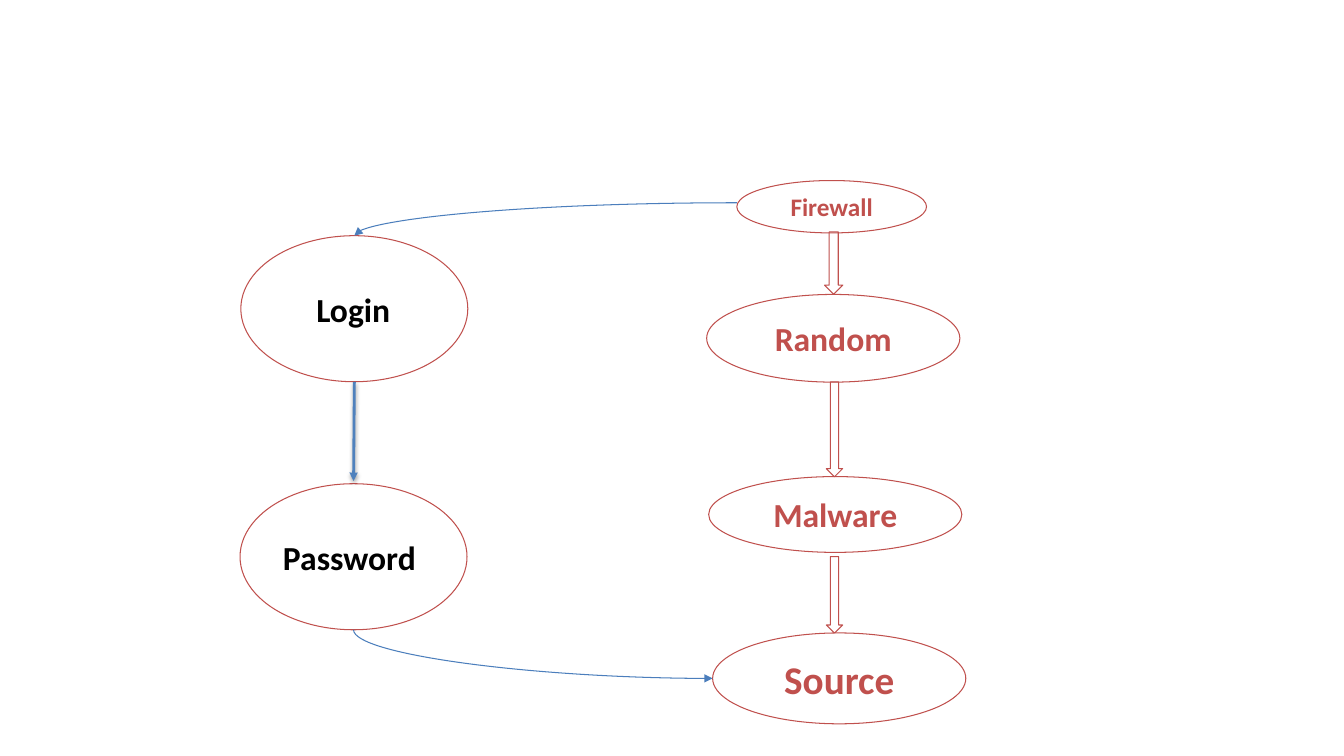
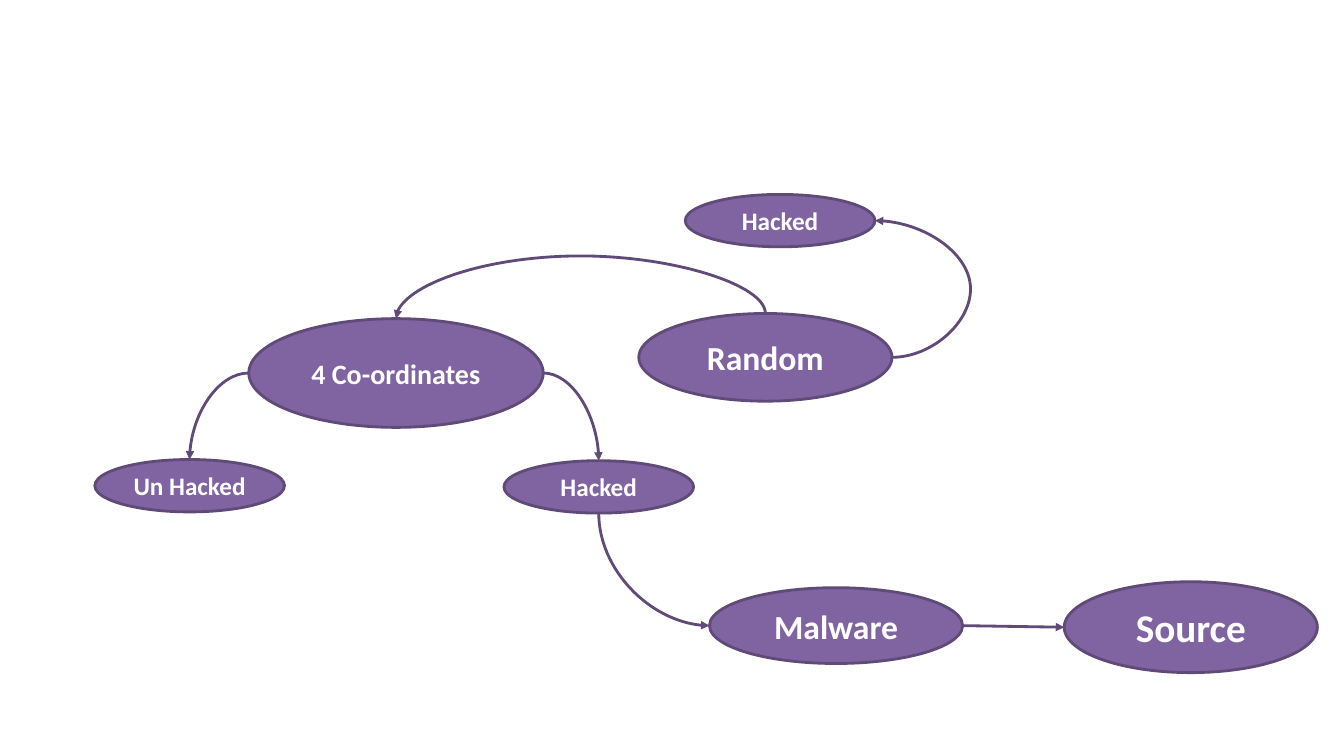
from dataclasses import dataclass
from typing import NamedTuple

from lxml import etree
from pptx import Presentation, util as u
from pptx.dml.color import RGBColor
from pptx.enum import shapes as kinds, text as txt
from pptx.oxml.ns import qn

COLORS = {
    "red": "C0504D",
    "blue": "4F81BD",
    "thin_blue": "4B7EBC",
    "purple": "8064A2",
    "dark_purple": "5F4A78",
    "white": "FFFFFF",
    "black": "000000",
}
FONT = {"name": "Calibri", "bold": True}
LABEL_WIDTH, LABEL_HEIGHT = 4.55, 1.27


class Point(NamedTuple):
    x: float
    y: float


class Size(NamedTuple):
    width: float
    height: float


class Style(NamedTuple):
    line: str
    weight: float
    fill: str | None = None
    font: str = "black"


OUTLINED = Style("red", 0.75, font="red")
FILLED = Style("dark_purple", 2, "purple", "white")
THIN_LINK = Style("thin_blue", 0.75)
THICK_LINK = Style("blue", 2)

SMALL = Size(4.78, 1.32)
FLAT = Size(6.38, 1.91)
MEDIUM = Size(6.38, 2.21)
TALL = Size(6.38, 2.29)
STEP = Size(5.72, 3.68)
HUB = Size(7.42, 2.74)


@dataclass(frozen=True)
class Node:
    """An ellipse; lengths are in centimetres."""
    label: str
    left: float
    top: float
    size: Size
    points: int

    @property
    def middle(self) -> Point:
        return Point(self.left + self.size.width / 2, self.top + self.size.height / 2)

    @property
    def north(self) -> Point:
        return Point(self.middle.x, self.top)

    @property
    def south(self) -> Point:
        return Point(self.middle.x, self.top + self.size.height)

    @property
    def west(self) -> Point:
        return Point(self.left, self.middle.y)

    @property
    def east(self) -> Point:
        return Point(self.left + self.size.width, self.middle.y)


class BlockArrow(NamedTuple):
    center: Point
    length: float
    thickness: float


def rgb(name: str) -> RGBColor:
    return RGBColor.from_string(COLORS[name])


def cm(*lengths: float) -> list[u.Length]:
    return [u.Cm(length) for length in lengths]


def paint(shape, style: Style) -> None:
    shape.shadow.inherit = False
    if style.fill:
        shape.fill.solid()
        shape.fill.fore_color.rgb = rgb(style.fill)
    else:
        shape.fill.background()
    paint_line(shape.line, style)


def paint_line(line, style: Style) -> None:
    line.color.rgb = rgb(style.line)
    line.width = u.Pt(style.weight)


def write(frame, label: str, points: int, color: str) -> None:
    paragraph = frame.paragraphs[0]
    paragraph.alignment = txt.PP_ALIGN.CENTER
    run = paragraph.add_run()
    run.text = label
    for attribute, value in {**FONT, "size": u.Pt(points)}.items():
        setattr(run.font, attribute, value)
    run.font.color.rgb = rgb(color)


def draw_node(slide, node: Node, style: Style, labelled: bool = True) -> None:
    ellipse = slide.shapes.add_shape(
        kinds.MSO_SHAPE.OVAL, *cm(node.left, node.top, *node.size))
    paint(ellipse, style)
    if labelled:
        frame = ellipse.text_frame
        frame.word_wrap = False
        frame.vertical_anchor = txt.MSO_ANCHOR.MIDDLE
        write(frame, node.label, node.points, style.font)


def draw_step(slide, step: Node, label_left: float) -> None:
    """Draw an empty ellipse with its label in a text box over it."""
    draw_node(slide, step, OUTLINED, labelled=False)
    box = slide.shapes.add_textbox(
        *cm(label_left, step.middle.y - LABEL_HEIGHT / 2, LABEL_WIDTH, LABEL_HEIGHT))
    box.text_frame.word_wrap = True
    write(box.text_frame, step.label, step.points, "black")


def draw_block_arrow(slide, arrow: BlockArrow) -> None:
    block = slide.shapes.add_shape(
        kinds.MSO_SHAPE.RIGHT_ARROW,
        *cm(arrow.center.x - arrow.length / 2, arrow.center.y - arrow.thickness / 2,
            arrow.length, arrow.thickness))
    block.rotation = 90
    paint(block, OUTLINED)


def finish_link(link, style: Style, shadow: bool = False) -> None:
    """Colour a connector and give it an arrowhead and its effects."""
    paint_line(link.line, style)
    properties = link._element.spPr
    etree.SubElement(properties.find(qn("a:ln")), qn("a:tailEnd"), type="triangle")
    effects = etree.SubElement(properties, qn("a:effectLst"))
    if shadow:
        outer = etree.SubElement(
            effects, qn("a:outerShdw"), blurRad=str(u.Pt(3.1)), dist=str(u.Pt(1.6)),
            dir="5400000", rotWithShape="0")
        color = etree.SubElement(outer, qn("a:srgbClr"), val=COLORS["black"])
        etree.SubElement(color, qn("a:alpha"), val="38000")


def draw_straight(slide, start: Point, end: Point, style: Style,
                  shadow: bool = False) -> None:
    link = slide.shapes.add_connector(
        kinds.MSO_CONNECTOR.STRAIGHT, *cm(*start, *end))
    finish_link(link, style, shadow)


def draw_curve(slide, start: Point, end: Point, style: Style,
               upright: bool = False, bulge: float = 0) -> None:
    """Leave start vertically if upright; a bulge first swings away from end."""
    dx, dy = end.x - start.x, end.y - start.y
    along, across = (-dy, dx) if upright else (dx, dy)
    width, height = abs(along), abs(across)
    left = (start.x + end.x - width) / 2
    top = (start.y + end.y - height) / 2
    link = slide.shapes.add_connector(
        kinds.MSO_CONNECTOR.CURVE, *cm(left, top, left + width, top + height))
    properties = link._element.spPr
    placement = {"rot": upright and 270 * 60000, "flipH": along < 0, "flipV": across < 0}
    for attribute, value in placement.items():
        if value:
            properties.find(qn("a:xfrm")).set(attribute, str(int(value)))
    geometry = properties.find(qn("a:prstGeom"))
    if bulge:
        ratio = round(-bulge / width * 100000)
        etree.SubElement(geometry.find(qn("a:avLst")), qn("a:gd"),
                         name="adj1", fmla=f"val {ratio}")
    else:
        geometry.set("prst", "curvedConnector2")
    finish_link(link, style)


def build_login_flow(slide) -> None:
    firewall = Node("Firewall", 18.57, 4.55, SMALL, 18)
    random = Node("Random", 17.81, 7.42, MEDIUM, 24)
    malware = Node("Malware", 17.86, 12.01, FLAT, 24)
    source = Node("Source", 17.96, 15.95, TALL, 28)
    login = Node("Login", 6.07, 5.94, STEP, 24)
    password = Node("Password", 6.05, 12.19, STEP, 24)

    for node in (malware, random, source, firewall):
        draw_node(slide, node, OUTLINED)
    for arrow in (
        BlockArrow(Point(21.03, 14.99), 1.93, 0.41),
        BlockArrow(Point(21.03, 10.82), 2.39, 0.41),
        BlockArrow(Point(21.01, 6.63), 1.57, 0.46),
    ):
        draw_block_arrow(slide, arrow)
    draw_step(slide, login, 6.63)
    draw_step(slide, password, 6.53)

    draw_curve(slide, Point(firewall.left, 5.11), login.north, THIN_LINK)
    draw_straight(slide, login.south, Point(password.middle.x, 12.12),
                  THICK_LINK, shadow=True)
    draw_curve(slide, password.south, source.west, THIN_LINK, upright=True)


def build_hacking_flow(slide) -> None:
    malware = Node("Malware", 17.88, 14.81, FLAT, 24)
    random = Node("Random", 16.1, 7.9, MEDIUM, 24)
    source = Node("Source", 26.82, 14.66, TALL, 28)
    hacked_random = Node("Hacked", 17.27, 4.9, SMALL, 18)
    coordinates = Node("4 Co-ordinates", 6.27, 8.03, HUB, 20)
    hacked = Node("Hacked", 12.7, 11.61, SMALL, 18)
    unhacked = Node("Un Hacked", 2.39, 11.58, SMALL, 18)

    for node in (malware, random, source, hacked_random, coordinates, hacked, unhacked):
        draw_node(slide, node, FILLED)

    draw_curve(slide, random.east, hacked_random.east, FILLED, bulge=1.98)
    draw_curve(slide, random.north, coordinates.north, FILLED, upright=True, bulge=1.45)
    draw_curve(slide, coordinates.east, hacked.north, FILLED)
    draw_curve(slide, coordinates.west, unhacked.north, FILLED)
    draw_curve(slide, hacked.south, malware.west, FILLED, upright=True)
    draw_straight(slide, malware.east, source.west, FILLED)


def main() -> None:
    deck = Presentation()
    deck.slide_width, deck.slide_height = cm(33.87, 19.05)
    blank = deck.slide_layouts[6]
    for build in (build_login_flow, build_hacking_flow):
        build(deck.slides.add_slide(blank))
    deck.save("out.pptx")


if __name__ == "__main__":
    main()
